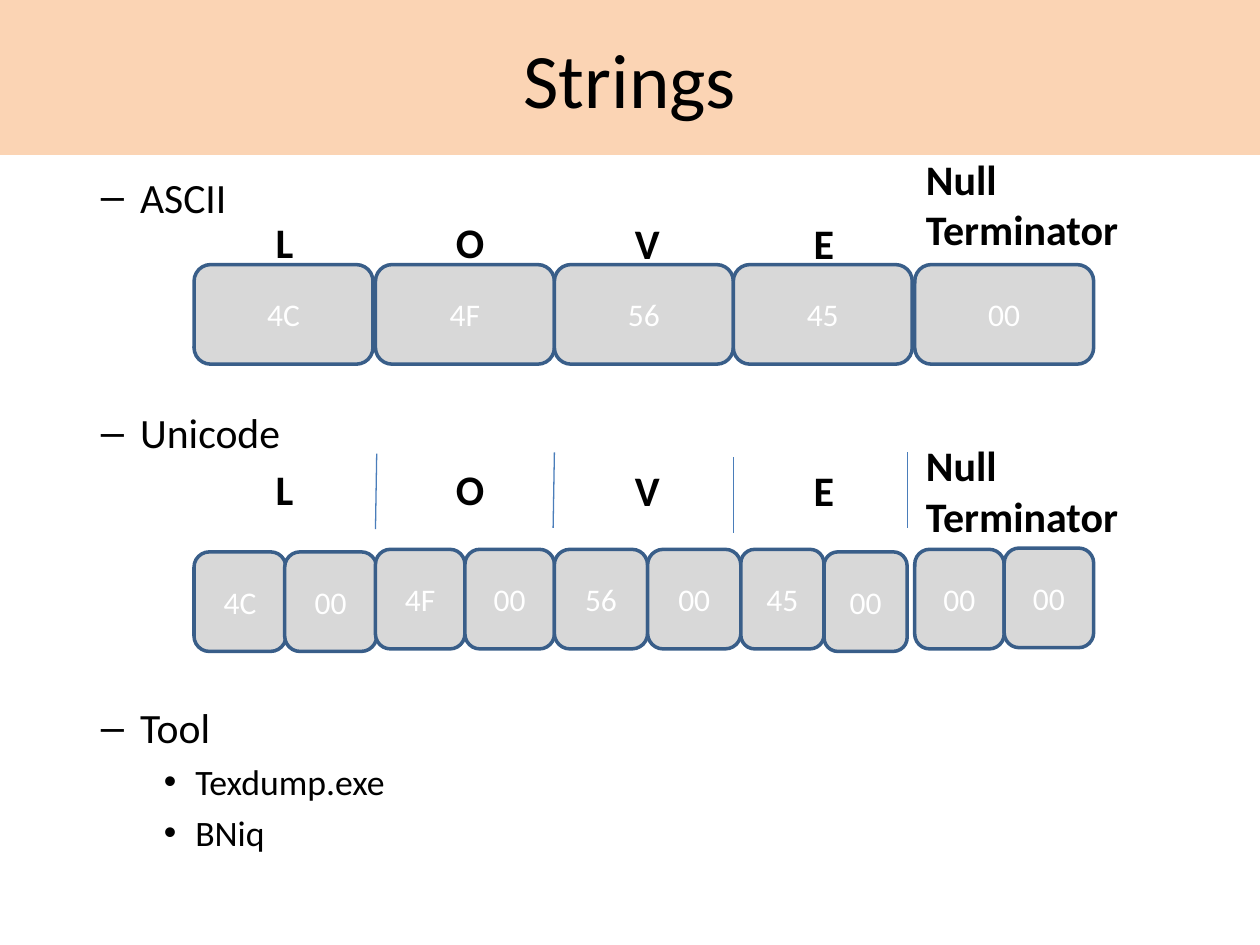
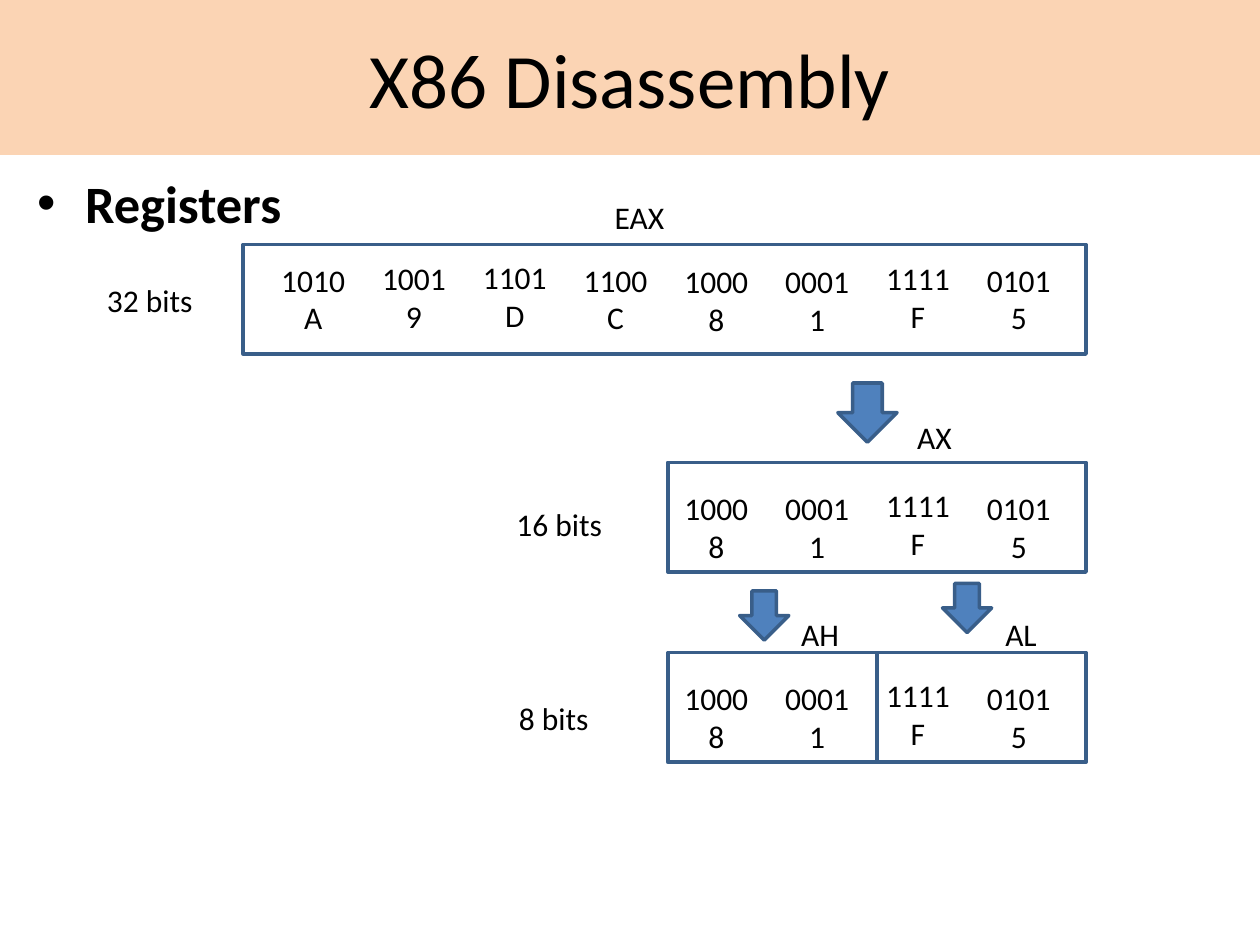
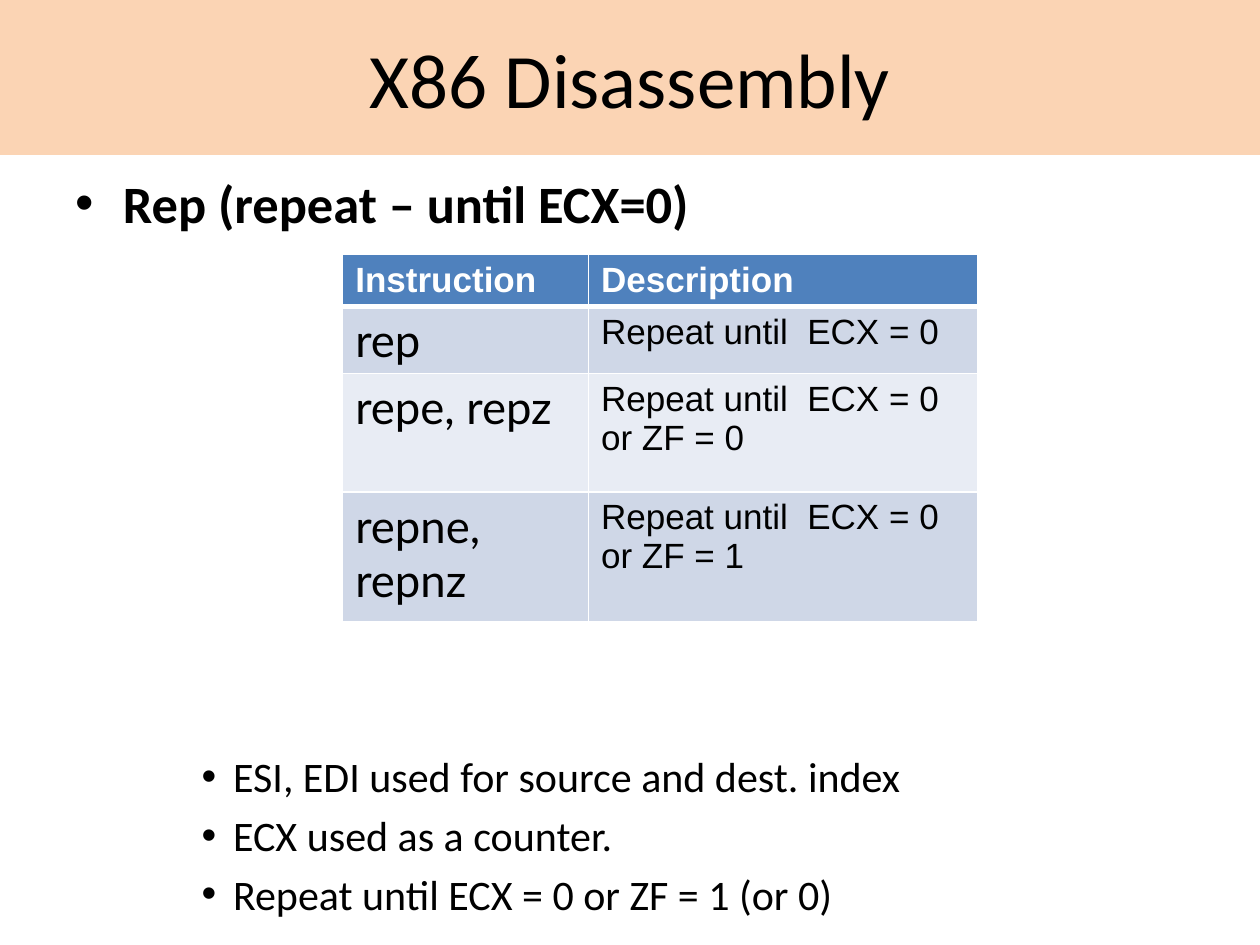
"""Build three slides on strings, registers and repeat instructions."""
from dataclasses import dataclass
from typing import Any, NamedTuple, Optional

from lxml import etree
from pptx import Presentation
from pptx.dml.color import RGBColor
from pptx.enum.shapes import MSO_CONNECTOR, MSO_SHAPE
from pptx.enum.text import MSO_ANCHOR, MSO_AUTO_SIZE, PP_ALIGN
from pptx.oxml.ns import qn
from pptx.slide import Slide
from pptx.util import Pt

PX = 9144
STRAIGHT = MSO_CONNECTOR.STRAIGHT
RECTANGLE = MSO_SHAPE.RECTANGLE
ROUNDED = MSO_SHAPE.ROUNDED_RECTANGLE
DOWN_ARROW = MSO_SHAPE.DOWN_ARROW
MIDDLE = MSO_ANCHOR.MIDDLE
TOP = MSO_ANCHOR.TOP
NO_FIT = MSO_AUTO_SIZE.NONE
LEFT = PP_ALIGN.LEFT
CENTER = PP_ALIGN.CENTER


@dataclass(frozen=True)
class Theme:
    """Colours, fonts and type sizes shared by the slides."""
    black: RGBColor = RGBColor(0x00, 0x00, 0x00)
    white: RGBColor = RGBColor(0xFF, 0xFF, 0xFF)
    band: RGBColor = RGBColor(0xFB, 0xD4, 0xB4)
    byte: RGBColor = RGBColor(0xD8, 0xD8, 0xD8)
    accent: RGBColor = RGBColor(0x4F, 0x81, 0xBD)
    outline: RGBColor = RGBColor(0x39, 0x5E, 0x89)
    divider: RGBColor = RGBColor(0x4A, 0x7D, 0xBA)
    dark_row: RGBColor = RGBColor(0xCF, 0xD7, 0xE7)
    light_row: RGBColor = RGBColor(0xE8, 0xEC, 0xF4)
    font: str = "Calibri"
    table_font: str = "Arial"
    code_font: str = "Lato"
    title: float = 44
    heading: float = 30
    code: float = 26
    item: float = 24
    encoding: float = 23.8
    tool: float = 20.4
    cell: float = 20
    small: float = 18


THEME = Theme()


class Frame(NamedTuple):
    """Place and size in px."""
    left: int
    top: int
    width: int
    height: int

    def emu(self) -> tuple[int, ...]:
        """Return the frame in EMU."""
        return tuple(length * PX for length in self)


class BodyLine(NamedTuple):
    """One paragraph of a body list."""
    text: str
    level: int
    size: float
    space_before: float = 0
    bold: bool = False


class Byte(NamedTuple):
    """One byte box in a memory row."""
    value: str
    left: int
    top: int
    width: int


class Divider(NamedTuple):
    """One line between two letters."""
    bottom_x: int
    top_x: int
    top: int


class NibbleRow(NamedTuple):
    """Four-bit groups with their hex digits, from a first column on."""
    nibbles: str
    first_column: int
    top: int
    nudges: tuple[int, ...]


class Label(NamedTuple):
    """A one-line caption."""
    text: str
    left: int
    top: int
    width: int


TITLE_FRAME = Frame(0, 0, 1000, 123)
WIDE_BODY = Frame(20, 131, 961, 559)
REP_BODY = Frame(50, 131, 773, 559)

STRING_LINES = (
    BodyLine("ASCII", 1, THEME.encoding),
    BodyLine("Unicode", 1, THEME.encoding, 106),
    BodyLine("Tool", 1, THEME.encoding, 140),
    BodyLine("Texdump.exe", 2, THEME.tool, 4.5),
    BodyLine("BNiq", 2, THEME.tool, 4.5),
)
REGISTER_LINES = (BodyLine("Registers", 0, THEME.heading, bold=True),)
REP_LINES = (
    BodyLine("Rep (repeat – until ECX=0)", 0, THEME.heading, bold=True),
    BodyLine("ESI, EDI used for source and dest. index", 2, THEME.item, 295),
    BodyLine("ECX used as a counter.", 2, THEME.item, 4.8),
    BodyLine("Repeat until ECX = 0 or ZF = 1 (or 0)", 2, THEME.item, 4.8),
)

BYTE_HEIGHT = 79
ASCII_BYTES = tuple(
    Byte(value, left, 210, 142)
    for value, left in zip(("4C", "4F", "56", "45", "00"), (154, 298, 440, 582, 726))
)
UNICODE_BYTES = (
    Byte("4C", 154, 438, 73), Byte("00", 226, 438, 73),
    Byte("4F", 298, 436, 71), Byte("00", 369, 436, 71),
    Byte("56", 440, 436, 74), Byte("00", 514, 436, 74),
    Byte("45", 588, 436, 66), Byte("00", 654, 438, 66),
    Byte("00", 726, 436, 71), Byte("00", 797, 435, 71),
)
LETTERS = (Label("L", 209, 0, 34), Label("O", 352, 0, 43),
           Label("V", 494, 1, 40), Label("E", 636, 1, 37))
DIVIDER_HEIGHT = 60
DIVIDERS = (Divider(298, 299, 360), Divider(439, 440, 359),
            Divider(582, 582, 363), Divider(720, 720, 359))

REGISTERS = (Frame(193, 194, 669, 87), Frame(530, 367, 332, 87),
             Frame(530, 518, 166, 87), Frame(696, 518, 166, 87))
ARROWS = (Frame(665, 304, 47, 47), Frame(587, 469, 39, 39), Frame(748, 463, 39, 39))
NIBBLE_LEFT, NIBBLE_PITCH, NIBBLE_WIDTH = 209, 80, 79
NIBBLE_ROWS = (
    NibbleRow("A9DC81F5", 0, 200, (2, 1, 0, 2, 3, 3, 1, 2)),
    NibbleRow("81F5", 4, 381, (2, 2, 0, 2)),
    NibbleRow("81F5", 4, 532, (2, 2, 0, 2)),
)
REGISTER_LABELS = (
    Label("32 bits", 75, 218, 89), Label("16 bits", 400, 396, 89),
    Label("8 bits", 402, 550, 76), Label("EAX", 478, 152, 60),
    Label("AX", 718, 327, 48), Label("AH", 626, 483, 50), Label("AL", 788, 483, 45),
)

REP_TABLE = Frame(272, 202, 504, 290)
COLUMN_WIDTHS = (195, 309)
ROW_HEIGHTS = (41, 52, 94, 103)
REP_ROWS = (
    ("Instruction", "Description"),
    ("rep", "Repeat until  ECX = 0"),
    ("repe, repz", "Repeat until  ECX = 0 or ZF = 0"),
    ("repne, repnz", "Repeat until  ECX = 0 or ZF = 1"),
)
ROW_FILLS = (THEME.accent, THEME.dark_row, THEME.light_row, THEME.dark_row)
THIN_BORDER, HEADER_BORDER = 0.96, 3


def set_all(target: Any, values: dict[str, Any]) -> None:
    """Set each named attribute on the target."""
    for name, value in values.items():
        setattr(target, name, value)


def format_font(font: Any, size: float, color: RGBColor = THEME.black,
                bold: bool = False, name: str = THEME.font) -> None:
    """Give a font its face, size, weight and colour."""
    set_all(font, {"name": name, "size": Pt(size), "bold": bold})
    font.color.rgb = color


def place(shape: Any, frame: Frame) -> None:
    """Move and size a shape."""
    set_all(shape, dict(zip(("left", "top", "width", "height"), frame.emu())))


def add_content_slide(deck: Any, title: str, frame: Frame,
                      lines: tuple[BodyLine, ...]) -> Slide:
    """Add a slide with a title band and a body list."""
    slide = deck.slides.add_slide(deck.slide_layouts[1])
    band, body = slide.shapes.title, slide.placeholders[1]
    place(band, TITLE_FRAME)
    band.fill.solid()
    band.fill.fore_color.rgb = THEME.band
    band.text_frame.text = title
    set_all(band.text_frame, {"auto_size": NO_FIT, "vertical_anchor": MIDDLE})
    heading = band.text_frame.paragraphs[0]
    heading.alignment = CENTER
    format_font(heading.font, THEME.title)

    place(body, frame)
    body.text_frame.text = "\n".join(line.text for line in lines)
    set_all(body.text_frame, {"auto_size": NO_FIT, "vertical_anchor": TOP})
    for paragraph, line in zip(body.text_frame.paragraphs, lines):
        set_all(paragraph, {"level": line.level, "space_before": Pt(line.space_before)})
        format_font(paragraph.font, line.size, bold=line.bold)
    return slide


def add_box(slide: Slide, kind: Any, frame: Frame, fill: Optional[RGBColor] = None,
            text: str = "") -> None:
    """Add an outlined shape, filled and lettered if asked."""
    box = slide.shapes.add_shape(kind, *frame.emu())
    box.shadow.inherit = False
    box.line.color.rgb = THEME.outline
    box.line.width = Pt(2)
    if fill is None:
        box.fill.background()
    else:
        box.fill.solid()
        box.fill.fore_color.rgb = fill
    if text:
        box.text_frame.text = text
        box.text_frame.vertical_anchor = MIDDLE
        value = box.text_frame.paragraphs[0]
        value.alignment = CENTER
        format_font(value.font, THEME.small, THEME.white)


def add_label(slide: Slide, text: str, frame: Frame, size: float,
              bold: bool = False, align: Any = LEFT) -> None:
    """Add a caption whose lines are split at line feeds."""
    caption = slide.shapes.add_textbox(*frame.emu()).text_frame
    caption.text = text
    set_all(caption, {"word_wrap": True, "margin_right": 0,
                      "margin_left": 10 * PX if align == LEFT else 0})
    for paragraph in caption.paragraphs:
        paragraph.alignment = align
        format_font(paragraph.font, size, bold=bold)


def add_memory_row(slide: Slide, row: tuple[Byte, ...], letter_top: int,
                   terminator_top: int) -> None:
    """Add byte boxes under the letters they encode."""
    for byte in row:
        add_box(slide, ROUNDED, Frame(byte.left, byte.top, byte.width, BYTE_HEIGHT),
                THEME.byte, byte.value)
    for letter in LETTERS:
        frame = Frame(letter.left, letter_top + letter.top, letter.width, 50)
        add_label(slide, letter.text, frame, THEME.item, True)
    add_label(slide, "Null\nTerminator", Frame(725, terminator_top, 192, 130),
              THEME.item, True)


def add_divider(slide: Slide, divider: Divider) -> None:
    """Add a thin line between two letters."""
    ends = (divider.bottom_x, divider.top + DIVIDER_HEIGHT, divider.top_x, divider.top)
    line = slide.shapes.add_connector(STRAIGHT, *(length * PX for length in ends))
    line.line.color.rgb = THEME.divider
    line.line.width = Pt(0.75)
    etree.SubElement(line._element.spPr, qn("a:effectLst"))


def add_nibbles(slide: Slide, row: NibbleRow) -> None:
    """Add each hex digit under its four bits."""
    for column, (digit, nudge) in enumerate(zip(row.nibbles, row.nudges), row.first_column):
        frame = Frame(NIBBLE_LEFT + column * NIBBLE_PITCH, row.top + nudge,
                      NIBBLE_WIDTH, 100)
        add_label(slide, f"{int(digit, 16):04b}\n{digit}", frame, THEME.small, align=CENTER)


def set_borders(cell: Any, top: float, bottom: float) -> None:
    """Give a cell white borders."""
    properties = cell._tc.get_or_add_tcPr()
    widths = {"lnL": THIN_BORDER, "lnR": THIN_BORDER, "lnT": top, "lnB": bottom}
    for index, (side, width) in enumerate(widths.items()):
        line = etree.Element(qn(f"a:{side}"), w=str(Pt(width)))
        fill = etree.SubElement(line, qn("a:solidFill"))
        etree.SubElement(fill, qn("a:srgbClr"), val=str(THEME.white))
        properties.insert(index, line)


def add_rep_table(slide: Slide) -> None:
    """Add the table of repeat instructions."""
    table = slide.shapes.add_table(len(REP_ROWS), len(COLUMN_WIDTHS), *REP_TABLE.emu()).table
    for column, width in zip(table.columns, COLUMN_WIDTHS):
        column.width = width * PX
    for row_index, (row, height) in enumerate(zip(table.rows, ROW_HEIGHTS)):
        row.height = height * PX
        header = row_index == 0
        top = HEADER_BORDER if row_index == 1 else THIN_BORDER
        bottom = HEADER_BORDER if header else THIN_BORDER
        for column_index, cell in enumerate(row.cells):
            cell.text = REP_ROWS[row_index][column_index]
            cell.fill.solid()
            cell.fill.fore_color.rgb = ROW_FILLS[row_index]
            set_borders(cell, top, bottom)
            code = column_index == 0 and not header
            format_font(cell.text_frame.paragraphs[0].font,
                        THEME.code if code else THEME.cell,
                        THEME.white if header else THEME.black, header,
                        THEME.code_font if code else THEME.table_font)


def build_strings(deck: Any) -> None:
    """Build the slide on string encodings."""
    slide = add_content_slide(deck, "Strings", WIDE_BODY, STRING_LINES)
    add_memory_row(slide, ASCII_BYTES, 167, 117)
    add_memory_row(slide, UNICODE_BYTES, 363, 344)
    for divider in DIVIDERS:
        add_divider(slide, divider)


def build_registers(deck: Any) -> None:
    """Build the slide on register parts."""
    slide = add_content_slide(deck, "X86 Disassembly", WIDE_BODY, REGISTER_LINES)
    for register in REGISTERS:
        add_box(slide, RECTANGLE, register)
    for arrow in ARROWS:
        add_box(slide, DOWN_ARROW, arrow, THEME.accent)
    for row in NIBBLE_ROWS:
        add_nibbles(slide, row)
    for label in REGISTER_LABELS:
        frame = Frame(label.left, label.top, label.width, 70)
        add_label(slide, label.text, frame, THEME.small)


def build_rep(deck: Any) -> None:
    """Build the slide on repeat instructions."""
    add_rep_table(add_content_slide(deck, "X86 Disassembly", REP_BODY, REP_LINES))


def main() -> None:
    """Build and save the deck."""
    deck = Presentation()
    set_all(deck, {"slide_width": 1000 * PX, "slide_height": 750 * PX})
    for build in (build_strings, build_registers, build_rep):
        build(deck)
    deck.save("out.pptx")


if __name__ == "__main__":
    main()
